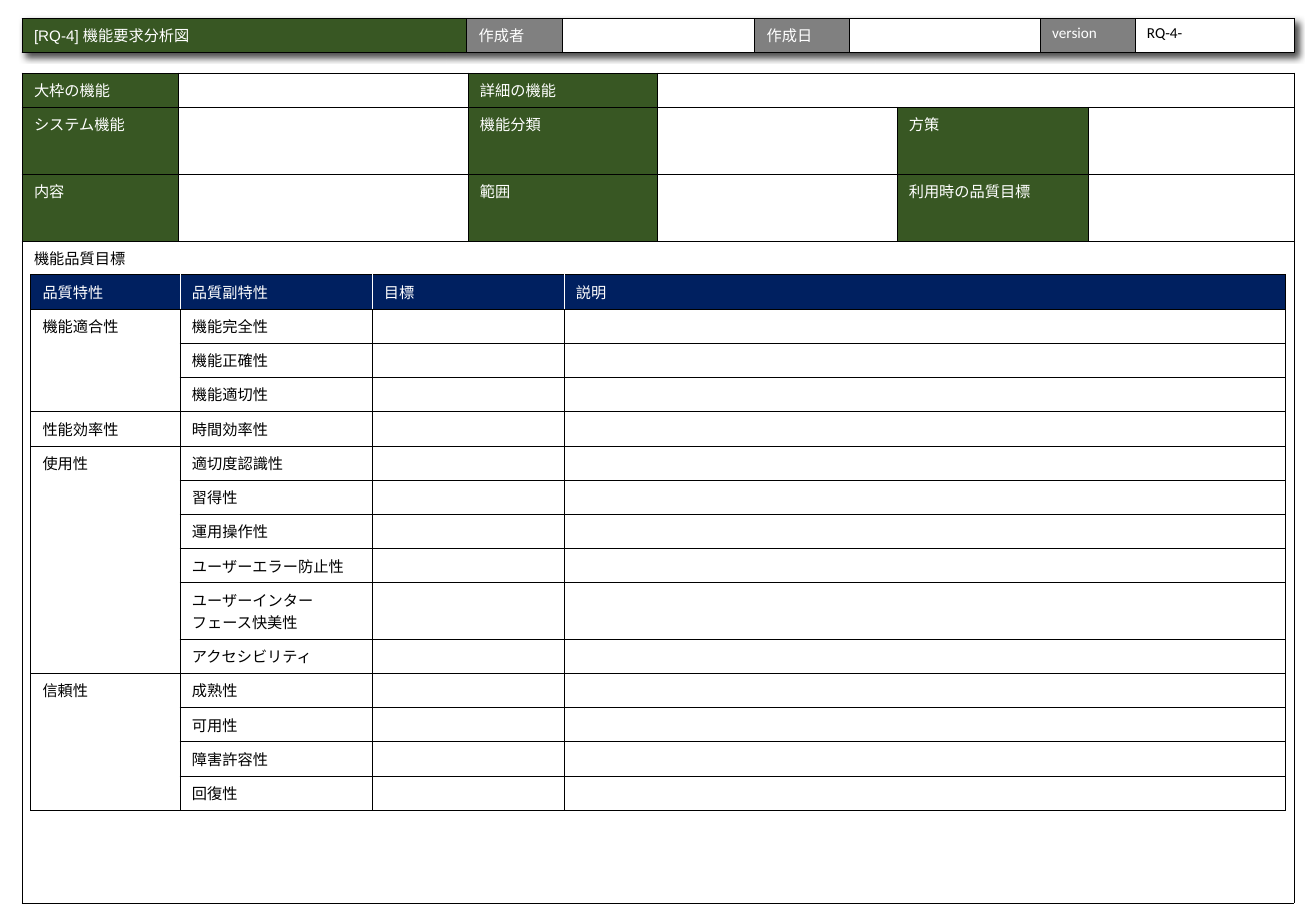
import pptx
import pptx.util
import pptx.dml.color
import pptx.oxml.ns
from lxml import etree

COLORS = {"green": "385723", "grey": "808080", "navy": "002060",
          "white": "FFFFFF", "black": "000000"}
LATIN_FONT = "Calibri"
JAPANESE_FONT = "Noto Sans CJK JP"
TEXT_SIZE = 9

QUALITIES = [
    ("機能適合性", ["機能完全性", "機能正確性", "機能適切性"]),
    ("性能効率性", ["時間効率性"]),
    ("使用性", ["適切度認識性", "習得性", "運用操作性", "ユーザーエラー防止性",
             "ユーザーインター\nフェース快美性", "アクセシビリティ"]),
    ("信頼性", ["成熟性", "可用性", "障害許容性", "回復性"]),
]


def add_element(parent, tag, **attributes):
    return etree.SubElement(parent, pptx.oxml.ns.qn(tag), **attributes)


def rgb(name):
    return pptx.dml.color.RGBColor.from_string(COLORS[name])


def add_grid(slide, box, columns, rows):
    left, top, width, height = box
    frame = slide.shapes.add_table(
        len(rows), len(columns), *[pptx.util.Inches(length) for length in box])
    table = frame.table
    table.first_row = False
    table.horz_banding = False
    for column, share in zip(table.columns, columns):
        column.width = pptx.util.Inches(width * share / sum(columns))
    for row, share in zip(table.rows, rows):
        row.height = pptx.util.Inches(height * share / sum(rows))
    return table


def set_borders(cell, left="black", right="black"):
    properties = cell._tc.get_or_add_tcPr()
    edges = {"a:lnL": left, "a:lnR": right, "a:lnT": "black", "a:lnB": "black"}
    for position, (tag, color) in enumerate(edges.items()):
        line = add_element(properties, tag, w=str(pptx.util.Pt(0.25)))
        fill = add_element(line, "a:solidFill")
        add_element(fill, "a:srgbClr", val=COLORS[color])
        properties.insert(position, line)


def fill_cell(cell, text="", fill=None, color="black", font=LATIN_FONT, **borders):
    cell.text_frame.text = text
    if fill:
        cell.fill.solid()
        cell.fill.fore_color.rgb = rgb(fill)
    else:
        cell.fill.background()
    set_borders(cell, **borders)
    for para in cell.text_frame.paragraphs:
        for span in para.runs:
            span.font.size = pptx.util.Pt(TEXT_SIZE)
            span.font.name = font
            span.font.color.rgb = rgb(color)
            add_element(span.font._element, "a:ea", typeface=JAPANESE_FONT)
        if not para.runs:
            add_element(para._p, "a:endParaRPr", sz=str(TEXT_SIZE * 100))


def add_shadow(table):
    properties = table._tbl.tblPr
    effects = add_element(properties, "a:effectLst")
    properties.insert(0, effects)
    shadow = add_element(effects, "a:outerShdw", blurRad="50800", dist="38100",
                         dir="2700000", algn="tl", rotWithShape="0")
    color = add_element(shadow, "a:srgbClr", val=COLORS["black"])
    add_element(color, "a:alpha", val="70000")


def add_header(slide, box, version=""):
    table = add_grid(slide, box, [3.66, 0.79, 1.58, 0.78, 1.57, 0.78, 1.31], [1])
    cells = list(table.rows[0].cells)
    fill_cell(cells[0], "[RQ-4] 機能要求分析図", "green", "white", "Arial")
    pairs = [("作成者", ""), ("作成日", ""), ("version", version)]
    for index, (label, value) in enumerate(pairs):
        fill_cell(cells[1 + 2 * index], label, "grey", "white")
        fill_cell(cells[2 + 2 * index], value, "white")
    return table


def add_function_summary(slide, box):
    table = add_grid(slide, box, [1.29, 2.38, 1.56, 1.97, 1.58, 1.69],
                     [0.28, 0.55, 0.55, 5.45])
    labels = [["大枠の機能", "詳細の機能", ""],
              ["システム機能", "機能分類", "方策"],
              ["内容", "範囲", "利用時の品質目標"],
              ["", "", ""]]
    for row, names in enumerate(labels):
        for index, name in enumerate(names):
            fill_cell(table.cell(row, 2 * index), name,
                      "green" if name else "white", "white")
            fill_cell(table.cell(row, 2 * index + 1), fill="white")
    table.cell(0, 3).merge(table.cell(0, 5))
    goals = table.cell(3, 0)
    goals.merge(table.cell(3, 5))
    fill_cell(goals, "機能品質目標", "white")


def add_quality_goals(slide, box):
    details = [detail for quality, group in QUALITIES for detail in group]
    heights = [0.46 if "\n" in detail else 0.28 for detail in details]
    table = add_grid(slide, box, [1.23, 1.58, 1.58, 5.94], [0.28] + heights)
    headings = ["品質特性", "品質副特性", "目標", "説明"]
    last = len(headings) - 1
    for column, heading in enumerate(headings):
        fill_cell(table.cell(0, column), heading, "navy", "white", JAPANESE_FONT,
                  left="white" if column else "black",
                  right="white" if column < last else "black")
    row = 1
    for quality, group in QUALITIES:
        for offset, detail in enumerate(group):
            texts = ["" if offset else quality, detail, "", ""]
            for column, text in enumerate(texts):
                fill_cell(table.cell(row + offset, column), text, font=JAPANESE_FONT)
        if len(group) > 1:
            table.cell(row, 0).merge(table.cell(row + len(group) - 1, 0))
        row += len(group)


def main():
    deck = pptx.Presentation()
    deck.slide_width = pptx.util.Inches(10.83)
    deck.slide_height = pptx.util.Inches(7.5)
    slide = deck.slides.add_slide(deck.slide_layouts[6])
    header_box = (0.18, 0.15, 10.47, 0.28)
    add_shadow(add_header(slide, header_box))
    add_function_summary(slide, (0.18, 0.6, 10.47, 6.83))
    add_header(slide, header_box, "RQ-4-")
    add_quality_goals(slide, (0.25, 2.26, 10.33, 4.38))
    deck.save("out.pptx")


if __name__ == "__main__":
    main()
